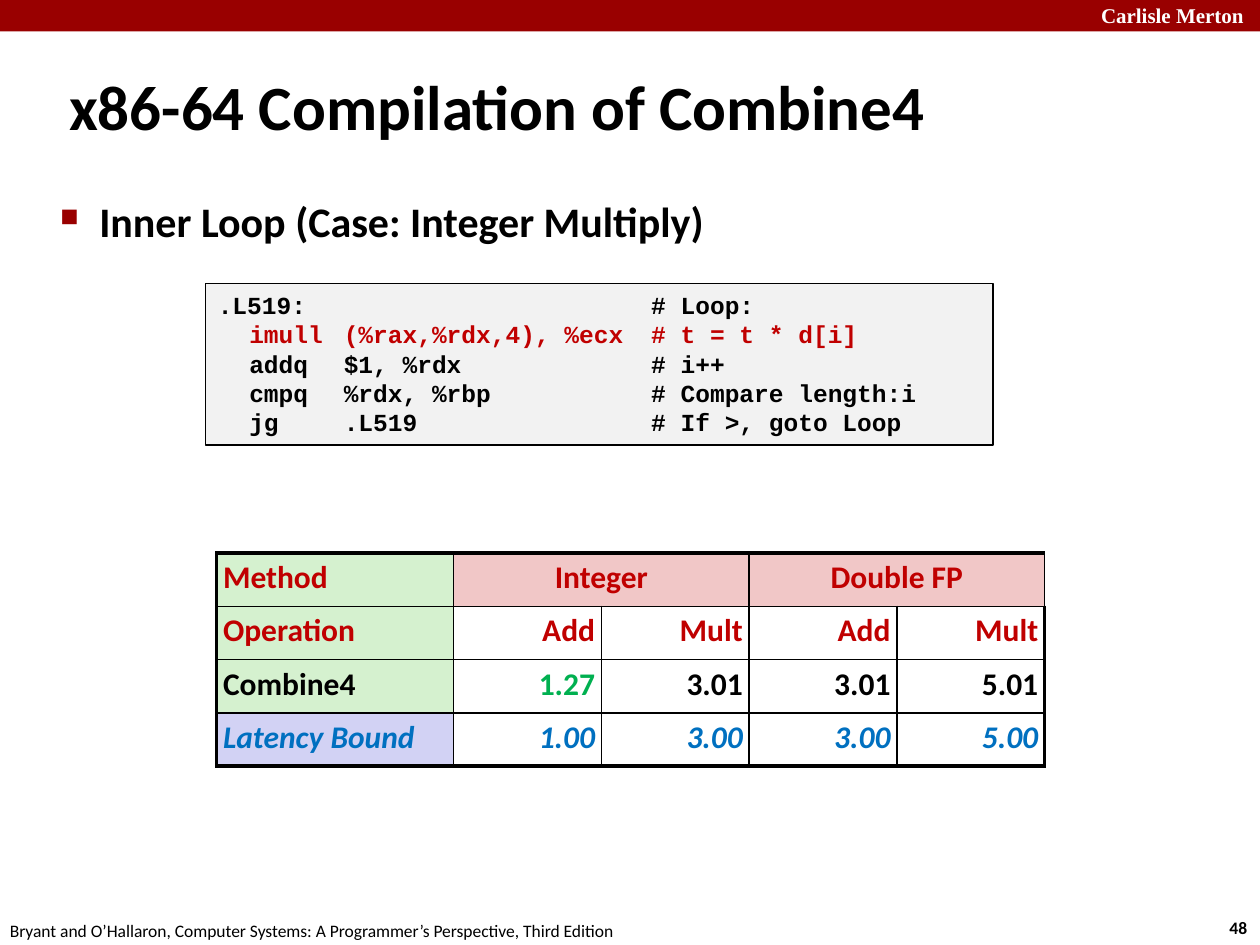
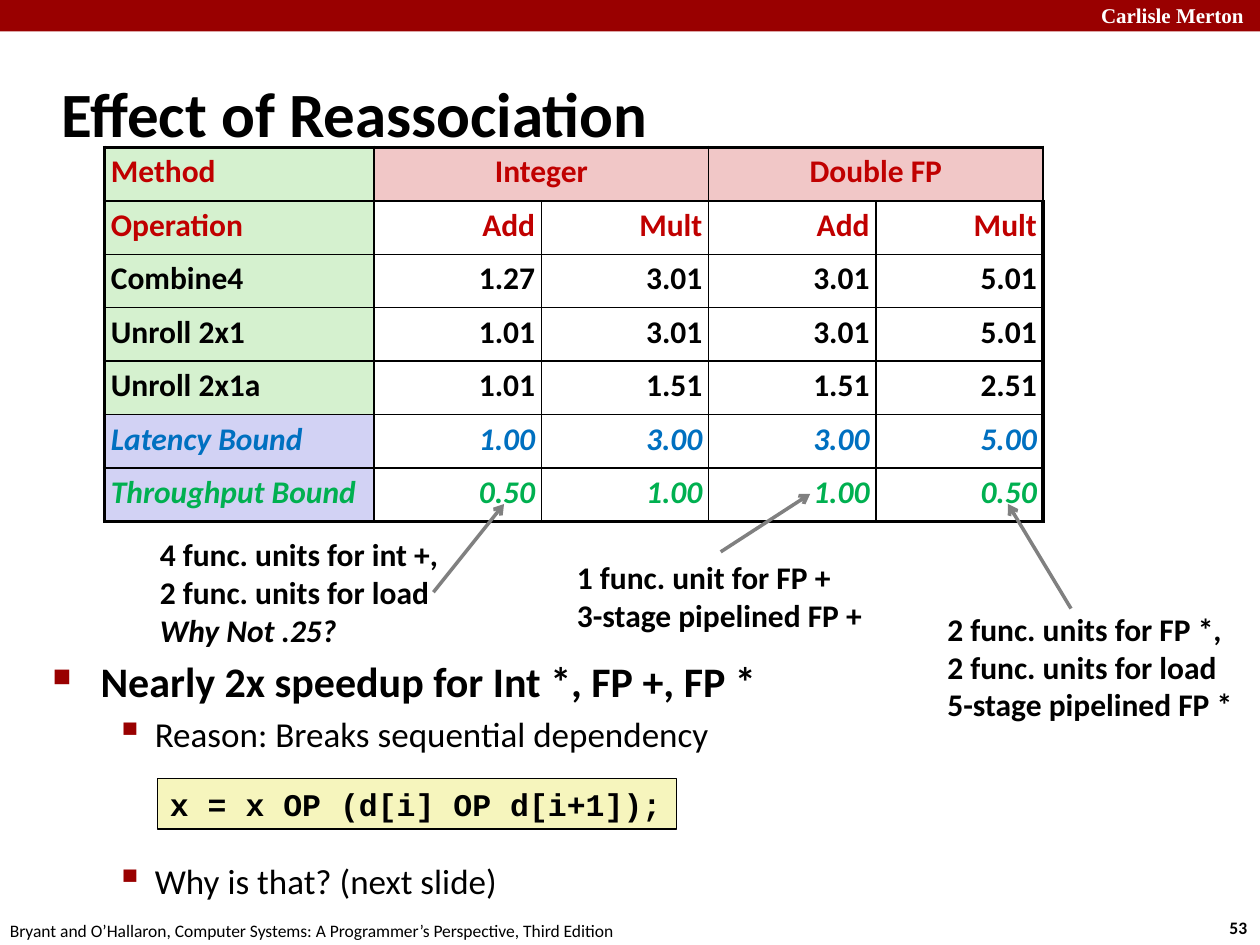
from dataclasses import dataclass

from lxml.etree import SubElement
from pptx import Presentation
from pptx.dml.color import RGBColor
from pptx.enum.shapes import MSO_CONNECTOR, MSO_SHAPE
from pptx.enum.text import MSO_ANCHOR, PP_ALIGN
from pptx.oxml.ns import qn
from pptx.util import Inches, Pt


@dataclass(frozen=True)
class Theme:
    # Fonts
    sans: str = "Calibri"
    mono: str = "Courier New"
    serif: str = "Times New Roman"
    # Colours
    band: str = "990000"
    black: str = "000000"
    white: str = "FFFFFF"
    red: str = "C00000"
    green: str = "00B050"
    blue: str = "0070C0"
    arrow: str = "808080"
    method_fill: str = "D5F1CF"
    type_fill: str = "F1C7C7"
    bound_fill: str = "D2D2F4"
    assembly_fill: str = "F2F2F2"
    formula_fill: str = "F6F5BD"
    # Type sizes
    title_size: int = 36
    heading_size: int = 24
    point_size: int = 20
    label_size: int = 18
    assembly_size: int = 14
    masthead_size: int = 12
    footer_size: int = 10
    # Line widths
    thin: float = 1
    arrow_width: float = 2
    frame: float = 2.25


THEME = Theme()
FOOTER = "Bryant and O’Hallaron, Computer Systems: A Programmer’s Perspective, Third Edition"

METHOD_ROWS = {
    "Method": ["Integer", "", "Double FP", ""],
    "Operation": ["Add", "Mult", "Add", "Mult"],
    "Combine4": ["1.27", "3.01", "3.01", "5.01"],
    "Unroll 2x1": ["1.01", "3.01", "3.01", "5.01"],
    "Unroll 2x1a": ["1.01", "1.51", "1.51", "2.51"],
    "Latency Bound": ["1.00", "3.00", "3.00", "5.00"],
    "Throughput Bound": ["0.50", "1.00", "1.00", "0.50"],
}
ROW_COLORS = {
    "Method": THEME.red,
    "Operation": THEME.red,
    "Latency Bound": THEME.blue,
    "Throughput Bound": THEME.green,
}


def rgb(color):
    return RGBColor.from_string(color)


def set_font(paragraph, size, color=THEME.black, name=THEME.sans, bold=True, italic=False):
    font = paragraph.font
    font.name, font.size = name, Pt(size)
    font.bold, font.italic = bold, italic
    font.color.rgb = rgb(color)


def fill_lines(frame, lines):
    """Write one paragraph per line and return the paragraphs."""
    frame.text = "\n".join(lines)
    return frame.paragraphs


def add_text(slide, box, lines, size, wrap=False, **font):
    frame = slide.shapes.add_textbox(*map(Inches, box)).text_frame
    frame.word_wrap = wrap
    for paragraph in fill_lines(frame, lines):
        set_font(paragraph, size, **font)
    return frame


def add_rectangle(slide, box, fill, line=None):
    shape = slide.shapes.add_shape(MSO_SHAPE.RECTANGLE, *map(Inches, box))
    shape.shadow.inherit = False
    shape.fill.solid()
    shape.fill.fore_color.rgb = rgb(fill)
    if line:
        shape.line.color.rgb = rgb(line)
        shape.line.width = Pt(THEME.thin)
    else:
        shape.line.fill.background()
    return shape


def set_indent(paragraph, left):
    """Hang the first line; return the paragraph properties."""
    properties = paragraph._p.get_or_add_pPr()
    properties.set("marL", str(Inches(left[0])))
    properties.set("indent", str(-Inches(left[1])))
    return properties


def add_base(presentation, title, title_position, number):
    """Start a slide with its band, footer, page number and title."""
    slide = presentation.slides.add_slide(presentation.slide_layouts[6])
    add_rectangle(slide, (0, 0, 10, 0.25), THEME.band)
    add_text(slide, (8.64, -0.03, 1.43, 0.3), ["Carlisle Merton"], THEME.masthead_size,
             wrap=True, color=THEME.white, name=THEME.serif)
    add_text(slide, (9.66, 7.23, 0.37, 0.27), [number], THEME.footer_size)
    add_text(slide, (-0.02, 7.25, 5.08, 0.27), [FOOTER], THEME.footer_size, bold=False)
    frame = add_text(slide, (*title_position, 8.3, 0.83), [title], THEME.title_size, wrap=True)
    frame.vertical_anchor = MSO_ANCHOR.MIDDLE
    set_indent(frame.paragraphs[0], (0.13, 0.13))
    return slide


def add_bullets(slide, box, heading, hang, points=()):
    """Add a bold heading; points are (text, space before) pairs."""
    texts = [heading] + [text for text, _ in points]
    frame = add_text(slide, box, texts, THEME.heading_size, wrap=True)
    set_bullet(frame.paragraphs[0], (hang, hang), "■", 60)
    for paragraph, (_, space) in zip(frame.paragraphs[1:], points):
        set_font(paragraph, THEME.point_size, bold=False)
        paragraph.level = 1
        paragraph.space_before = Pt(space)
        set_bullet(paragraph, (0.81, 0.31), "▪", 110)


def set_bullet(paragraph, indent, symbol, percent):
    properties = set_indent(paragraph, indent)
    font_properties = properties.find(qn("a:defRPr"))
    color = SubElement(properties, qn("a:buClr"))
    SubElement(color, qn("a:srgbClr"), val=THEME.band)
    SubElement(properties, qn("a:buSzPct"), val=str(percent * 1000))
    SubElement(properties, qn("a:buChar"), char=symbol)
    if font_properties is not None:
        properties.append(font_properties)


def add_code(slide, box, lines, size, fill, tabs=(), highlight=None, wrap=True):
    frame = add_rectangle(slide, box, fill, THEME.black).text_frame
    frame.word_wrap = wrap
    frame.vertical_anchor = MSO_ANCHOR.TOP
    for index, paragraph in enumerate(fill_lines(frame, lines)):
        paragraph.alignment = PP_ALIGN.LEFT
        properties = paragraph._p.get_or_add_pPr()
        if tabs:
            stops = SubElement(properties, qn("a:tabLst"))
            for stop in tabs:
                SubElement(stops, qn("a:tab"), pos=str(Inches(stop)), algn="l")
        color = THEME.red if index == highlight else THEME.black
        set_font(paragraph, size, color, THEME.mono)


def set_borders(cell, widths):
    """Draw the cell's edges; widths go left, right, top, bottom."""
    properties = cell._tc.get_or_add_tcPr()
    for index, (side, width) in enumerate(zip("LRTB", widths)):
        line = SubElement(properties, qn(f"a:ln{side}"), w=str(Pt(width)))
        fill = SubElement(line, qn("a:solidFill"))
        SubElement(fill, qn("a:srgbClr"), val=THEME.black)
        properties.insert(index, line)


def cell_fill(row, column, label):
    if column == 0:
        return THEME.bound_fill if label.endswith("Bound") else THEME.method_fill
    return THEME.type_fill if row == 0 else THEME.white


def add_method_table(slide, box, label_width, labels, accents=None):
    """Compare methods; accents maps (row, column) to a text colour."""
    accents = accents or {}
    rows, columns = len(labels), 5
    table = slide.shapes.add_table(rows, columns, *map(Inches, box)).table
    table.first_row = table.horz_banding = False
    table.columns[0].width = Inches(label_width)
    for column in range(1, columns):
        table.columns[column].width = Inches((box[2] - label_width) / (columns - 1))

    for row, label in enumerate(labels):
        table.rows[row].height = Inches(box[3] / rows)
        for column, text in enumerate([label, *METHOD_ROWS[label]]):
            cell = table.cell(row, column)
            cell.margin_left = cell.margin_right = Inches(0.05)
            cell.margin_top = cell.margin_bottom = Inches(0.05)
            cell.fill.solid()
            cell.fill.fore_color.rgb = rgb(cell_fill(row, column, label))
            outer = (column == 0, column == columns - 1, row == 0, row == rows - 1)
            set_borders(cell, [THEME.frame if edge else THEME.thin for edge in outer])

            cell.text = text
            paragraph = cell.text_frame.paragraphs[0]
            paragraph.line_spacing = 0.95
            if column:
                paragraph.alignment = PP_ALIGN.RIGHT if row else PP_ALIGN.CENTER
            color = accents.get((row, column), ROW_COLORS.get(label, THEME.black))
            set_font(paragraph, THEME.label_size, color, italic=label.endswith("Bound"))

    for column in (1, 3):
        table.cell(0, column).merge(table.cell(0, column + 1))


def add_arrow(slide, start, end):
    arrow = slide.shapes.add_connector(MSO_CONNECTOR.STRAIGHT, *map(Inches, (*start, *end)))
    arrow.line.color.rgb = rgb(THEME.arrow)
    arrow.line.width = Pt(THEME.arrow_width)
    SubElement(arrow.line._get_or_add_ln(), qn("a:tailEnd"), type="arrow")
    SubElement(arrow._element.spPr, qn("a:effectLst"))


def build_compilation(presentation):
    slide = add_base(presentation, "x86-64 Compilation of Combine4", (0.45, 0.42), "48")
    add_bullets(slide, (0.38, 1.5, 9.03, 0.75), "Inner Loop (Case: Integer Multiply)", 0.31)
    assembly = [
        ".L519:\t\t# Loop:",
        "\timull\t(%rax,%rdx,4), %ecx\t# t = t * d[i]",
        "\taddq\t$1, %rdx\t# i++",
        "\tcmpq\t%rdx, %rbp\t# Compare length:i",
        "\tjg\t.L519\t# If >, goto Loop",
    ]
    # The label is wider than the first stop, so it skips to the next ones
    add_code(slide, (1.63, 2.25, 6.25, 1.28), assembly, THEME.assembly_size,
             THEME.assembly_fill, tabs=(0.25, 1, 3.44), highlight=1)
    add_method_table(slide, (1.72, 4.39, 6.57, 1.69), 1.88,
                     ["Method", "Operation", "Combine4", "Latency Bound"],
                     accents={(2, 1): THEME.green})


def build_reassociation(presentation):
    slide = add_base(presentation, "Effect of Reassociation", (0.39, 0.48), "53")
    add_bullets(slide, (0.32, 5.15, 9.09, 1.9), "Nearly 2x speedup for Int *, FP +, FP *", 0.38,
                [("Reason: Breaks sequential dependency", 4), ("Why is that? (next slide)", 60)])
    add_code(slide, (1.25, 6.18, 4.12, 0.4), ["x = x OP (d[i] OP d[i+1]);"],
             THEME.label_size, THEME.formula_fill, wrap=False)
    add_method_table(slide, (0.83, 1.17, 7.45, 2.97), 2.14, list(METHOD_ROWS))

    # Notes on the throughput bounds, each with its arrow
    load = "2 func. units for load"
    notes = [
        ((7.42, 4.79, 2.48, 1.01), ["2 func. units for FP *,", load, "5-stage pipelined FP *"],
         (8.5, 4.83), (8, 4)),
        ((1.17, 4.2, 2.43, 1.01), ["4 func. units for int +,", load, "Why Not .25?"],
         (3.44, 4.7), (4, 4)),
        ((4.48, 4.38, 2.48, 0.71), ["1 func. unit for FP +", "3-stage pipelined FP +"],
         (5.72, 4.38), (6.43, 3.92)),
    ]
    for box, lines, start, end in notes:
        add_arrow(slide, start, end)
        frame = add_text(slide, box, lines, THEME.label_size)
        for paragraph in frame.paragraphs:
            paragraph.font.italic = paragraph.text.endswith("?")


def main():
    presentation = Presentation()
    presentation.slide_width, presentation.slide_height = Inches(10), Inches(7.5)
    build_compilation(presentation)
    build_reassociation(presentation)
    presentation.save("out.pptx")


if __name__ == "__main__":
    main()
